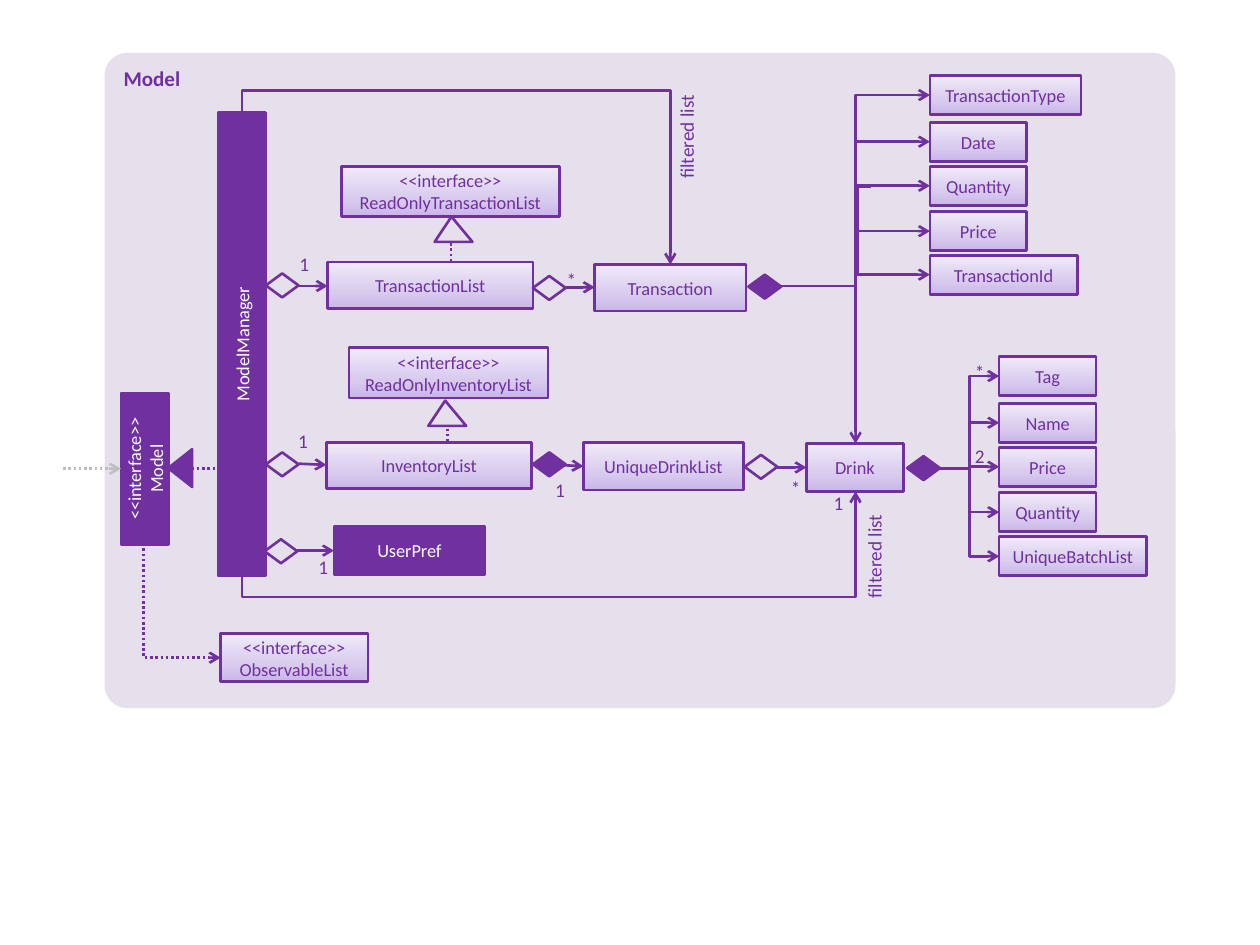
import copy
import dataclasses

import lxml.etree
import pptx
import pptx.dml.color
import pptx.enum.dml
import pptx.enum.shapes
import pptx.enum.text
import pptx.oxml.ns
import pptx.util

Inches = pptx.util.Inches
Shapes = pptx.enum.shapes.MSO_SHAPE
Connectors = pptx.enum.shapes.MSO_CONNECTOR
Align = pptx.enum.text.PP_ALIGN
Anchor = pptx.enum.text.MSO_ANCHOR
qn = pptx.oxml.ns.qn


@dataclasses.dataclass(frozen=True)
class Theme:
    font: str = "Calibri"
    purple: str = "7030A0"
    panel: str = "E6E0EC"
    white: str = "FFFFFF"
    gray: str = "BFBFBF"
    gradient: tuple = ((0, "C9B5E8"), (0.35, "D8CBEE"), (1, "F0EAF9"))
    title_size: float = 12
    box_size: float = 10.5
    label_size: float = 11
    line_width: float = 1.5


def rgb(value):
    return pptx.dml.color.RGBColor.from_string(value)


class ClassDiagram:
    """Draws the parts of a class diagram on one slide in one theme."""

    def __init__(self, slide, theme):
        self.slide = slide
        self.theme = theme

    def add_text(self, shape, text, size, color, align, bold=False):
        frame = shape.text_frame
        frame.word_wrap = True
        for index, content in enumerate(text.split("\n")):
            paragraph = frame.add_paragraph() if index else frame.paragraphs[0]
            paragraph.alignment = align
            for part_index, part in enumerate(content.split("\v")):
                if part_index:
                    paragraph.add_line_break()
                run = paragraph.add_run()
                run.text = part
                run.font.name = self.theme.font
                run.font.size = pptx.util.Pt(size)
                run.font.color.rgb = rgb(color)
                run.font.bold = bold

    def outline(self, line, color):
        line.color.rgb = rgb(color)
        line.width = pptx.util.Pt(self.theme.line_width)

    def shape(self, kind, left, top, width, height, fill=None, rotation=0):
        shape = self.slide.shapes.add_shape(
            kind, Inches(left), Inches(top), Inches(width), Inches(height))
        shape.rotation = rotation
        shape.shadow.inherit = False
        if fill:
            shape.fill.solid()
            shape.fill.fore_color.rgb = rgb(fill)
        else:
            shape.fill.background()
        self.outline(shape.line, self.theme.purple)
        return shape

    def panel(self, text, left, top, width, height):
        shape = self.shape(Shapes.ROUNDED_RECTANGLE, left, top, width, height, self.theme.panel)
        shape.adjustments[0] = 0.035
        shape.line.fill.background()
        shape.text_frame.vertical_anchor = Anchor.TOP
        self.add_text(shape, text, self.theme.title_size, self.theme.purple, Align.LEFT, True)

    def box(self, text, left, top, width, height=0.38, dark=False, rotation=0):
        theme = self.theme
        shape = self.shape(Shapes.RECTANGLE, left, top, width, height, theme.purple, rotation)
        if not dark:
            shape.fill.gradient()
            shape.fill.gradient_angle = 90
            stops = shape._element.spPr.find(".//" + qn("a:gsLst"))
            stops.append(copy.deepcopy(stops[0]))
            for stop, (position, color) in zip(shape.fill.gradient_stops, theme.gradient):
                stop.position = position
                stop.color.rgb = rgb(color)
        shape.text_frame.vertical_anchor = Anchor.MIDDLE
        self.add_text(shape, text, theme.box_size,
                      theme.white if dark else theme.purple, Align.CENTER)
        return shape

    def diamond(self, left, top, filled=False):
        self.shape(Shapes.FLOWCHART_DECISION, left, top, 0.26, 0.19,
                   self.theme.purple if filled else None)

    def realization(self, left, top):
        triangle = self.shape(Shapes.ISOSCELES_TRIANGLE, left, top, 0.3, 0.2, self.theme.panel)
        triangle.adjustments[0] = 0.445

    def label(self, text, left, top):
        shape = self.slide.shapes.add_textbox(Inches(left), Inches(top), Inches(0.21), Inches(0.2))
        frame = shape.text_frame
        frame.margin_left = frame.margin_right = frame.margin_top = frame.margin_bottom = 0
        self.add_text(shape, text, self.theme.label_size, self.theme.purple, Align.CENTER)

    def side_label(self, text, left, top):
        shape = self.slide.shapes.add_textbox(Inches(left), Inches(top), Inches(0.96), Inches(0.29))
        shape.rotation = 270
        self.add_text(shape, text, self.theme.label_size, self.theme.purple, Align.RIGHT)

    def connector(self, kind, start, end, arrow, dotted, color=None):
        connector = self.slide.shapes.add_connector(
            kind, *(Inches(value) for value in (*start, *end)))
        self.outline(connector.line, color or self.theme.purple)
        if dotted:
            connector.line.dash_style = pptx.enum.dml.MSO_LINE.ROUND_DOT
        properties = connector._element.spPr
        if arrow:
            lxml.etree.SubElement(properties.find(qn("a:ln")), qn("a:tailEnd"), type="arrow")
        lxml.etree.SubElement(properties, qn("a:effectLst"))
        return connector

    def line(self, start, end, target=None, side=1, arrow=True, dotted=False, color=None):
        connector = self.connector(Connectors.STRAIGHT, start, end, arrow, dotted, color)
        if target is not None:
            connector.end_connect(target, side)
            connector.end_x, connector.end_y = (Inches(value) for value in end)

    def elbow(self, start, end, bend=0.5, vertical=False, corner=False, dotted=False):
        if vertical:
            middle_x, middle_y = (start[0] + end[0]) / 2, (start[1] + end[1]) / 2
            half_x, half_y = (end[0] - start[0]) / 2, (end[1] - start[1]) / 2
            start = middle_x + half_y, middle_y - half_x
            end = middle_x - half_y, middle_y + half_x
        connector = self.connector(Connectors.ELBOW, start, end, True, dotted)
        properties = connector._element.spPr
        geometry = properties.find(qn("a:prstGeom"))
        if vertical:
            properties.find(qn("a:xfrm")).set("rot", str(270 * 60000))
        if corner:
            geometry.set("prst", "bentConnector2")
        elif bend != 0.5:
            lxml.etree.SubElement(geometry.find(qn("a:avLst")), qn("a:gd"),
                                  name="adj1", fmla=f"val {round(bend * 100000)}")

    def attributes(self, left, top, start, items):
        for offset, (text, width, joined) in zip((0, 0.37, 0.72, 1.08, 1.43), items):
            self.box(text, left, top + offset, width, 0.31)
            if joined:
                self.elbow(start, (left, top + offset + 0.155))


def main():
    presentation = pptx.Presentation()
    presentation.slide_width, presentation.slide_height = Inches(10), Inches(7.5)
    slide = presentation.slides.add_slide(presentation.slide_layouts[6])
    theme = Theme()
    diagram = ClassDiagram(slide, theme)

    diagram.panel("Model", 0.83, 0.42, 8.5, 5.2)
    diagram.box("ModelManager", 0.08, 2.54, 3.68, dark=True, rotation=270)
    model = diagram.box("<<interface>>\nModel", 0.55, 3.53, 1.2, dark=True, rotation=270)
    user_pref = diagram.box("UserPref", 2.65, 4.18, 1.2, dark=True)
    inventory = diagram.box("InventoryList", 2.59, 3.51, 1.63, 0.37)
    unique_drinks = diagram.box("UniqueDrinkList", 4.63, 3.51, 1.27)
    drink = diagram.box("Drink", 6.4, 3.52, 0.77)
    transactions = diagram.box("TransactionList", 2.6, 2.08, 1.63, 0.37)
    transaction = diagram.box("Transaction", 4.72, 2.1, 1.2, 0.37)
    diagram.box("<<interface>>\vObservableList", 1.75, 5.03, 1.17)
    diagram.box("<<interface>>\vReadOnlyInventoryList", 2.77, 2.76, 1.58, 0.4)
    diagram.box("<<interface>>\vReadOnlyTransactionList", 2.71, 1.32, 1.73, 0.4)

    diagram.shape(Shapes.ISOSCELES_TRIANGLE, 1.28, 3.62, 0.3, 0.19, theme.purple, 270)
    diagram.line((1.52, 3.72), (1.76, 3.72), arrow=False, dotted=True)
    diagram.line((0.5, 3.72), (0.96, 3.72), model, side=0, dotted=True, color=theme.gray)
    diagram.line((3.55, 3.36), (3.55, 3.5), arrow=False, dotted=True)
    diagram.line((3.58, 1.93), (3.58, 2.08), arrow=False, dotted=True)
    diagram.realization(3.4, 3.18)
    diagram.realization(3.45, 1.72)

    for left, top, filled in (
            (2.1, 4.28, False), (2.11, 3.59, False), (2.11, 2.17, False), (4.23, 2.19, False),
            (5.91, 3.61, False), (4.23, 3.59, True), (7.2, 3.62, True), (5.94, 2.18, True)):
        diagram.diamond(left, top, filled)
    for start, end, target in (
            ((2.35, 4.37), (2.65, 4.37), user_pref),
            ((2.37, 3.68), (2.59, 3.69), inventory),
            ((4.23, 3.68), (4.63, 3.7), unique_drinks),
            ((6.17, 3.71), (6.4, 3.71), drink),
            ((2.37, 2.27), (2.6, 2.27), transactions),
            ((4.49, 2.28), (4.72, 2.28), transaction)):
        diagram.line(start, end, target)

    diagram.attributes(7.38, 0.6, (6.2, 2.27), (
        ("TransactionType", 1.2, True), ("Date", 0.77, True), ("Quantity", 0.77, True),
        ("Price", 0.77, True), ("TransactionId", 1.17, False)))
    diagram.attributes(7.93, 2.83, (7.46, 3.72), (
        ("Tag", 0.77, True), ("Name", 0.77, True), ("Price", 0.77, True),
        ("Quantity", 0.77, True), ("UniqueBatchList", 1.17, True)))
    diagram.elbow((6.91, 1.48), (7.38, 2.18), bend=-0.22)
    diagram.elbow((6.2, 2.27), (6.79, 3.52), corner=True)
    diagram.elbow((1.14, 4.31), (1.75, 5.22), vertical=True, corner=True, dotted=True)
    diagram.elbow((1.92, 0.9), (5.32, 2.1), bend=-0.15, vertical=True)
    diagram.elbow((1.92, 4.57), (6.79, 3.9), bend=-0.25, vertical=True)

    for text, left, top in (
            ("1", 4.34, 3.8), ("*", 6.21, 3.78), ("1", 2.3, 3.41), ("1", 2.46, 4.41),
            ("1", 6.55, 3.9), ("*", 7.67, 2.86), ("1", 2.31, 2), ("2", 7.67, 3.53),
            ("*", 4.43, 2.13)):
        diagram.label(text, left, top)
    diagram.side_label("filtered list", 6.46, 4.32)
    diagram.side_label("filtered list", 4.97, 0.99)
    presentation.save("out.pptx")


if __name__ == "__main__":
    main()
